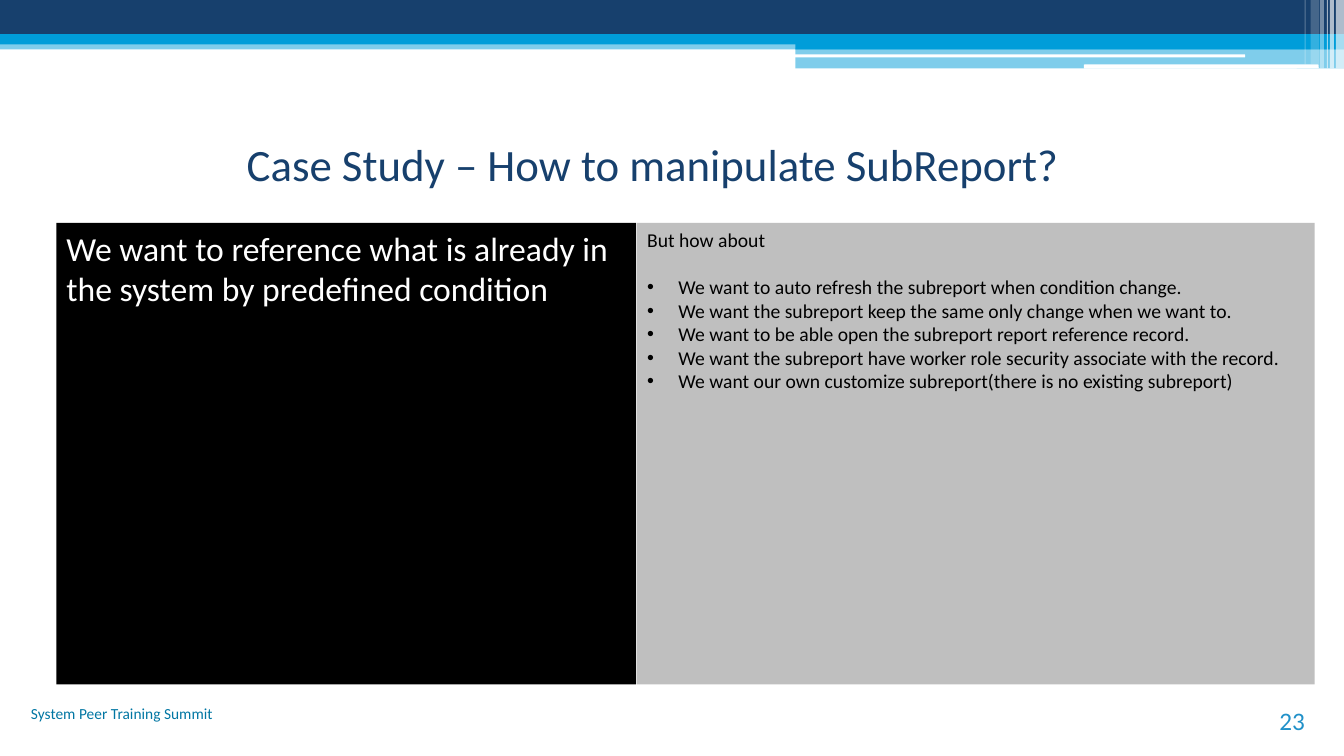
from lxml.etree import SubElement
from pptx import Presentation
from pptx.dml.color import RGBColor
from pptx.enum.shapes import MSO_SHAPE
from pptx.enum.text import MSO_ANCHOR, PP_ALIGN
from pptx.oxml.ns import qn
from pptx.util import Inches, Pt

COLORS = {
    "navy": "17406D",
    "blue": "009DD9",
    "white": "FFFFFF",
    "black": "000000",
    "gray": "BFBFBF",
    "footer": "0076A3",
    "number": "2191C9",
}


def add_block(slide, left, top, width, height, color, opacity=100, preset=MSO_SHAPE.RECTANGLE):
    shape = slide.shapes.add_shape(preset, Inches(left), Inches(top), Inches(width), Inches(height))
    shape.shadow.inherit = False
    shape.fill.solid()
    shape.fill.fore_color.rgb = RGBColor.from_string(COLORS[color])
    shape.line.fill.background()
    if opacity < 100:
        fill_color = shape._element.xpath("./p:spPr/a:solidFill/a:srgbClr")[0]
        SubElement(fill_color, qn("a:alpha"), val=str(opacity * 1000))
    return shape


def write_paragraph(paragraph, text, size, color, alignment=PP_ALIGN.LEFT):
    paragraph.text = text
    paragraph.alignment = alignment
    font_format = {"name": "Calibri", "size": Pt(size)}
    for attribute, value in font_format.items():
        setattr(paragraph.font, attribute, value)
    paragraph.font.color.rgb = RGBColor.from_string(COLORS[color])


presentation = Presentation()
presentation.slide_width = Inches(13.33)
presentation.slide_height = Inches(7.5)
slide = presentation.slides.add_slide(presentation.slide_layouts[5])

bands = [
    (0, 0.4, 13.33, 0.09, "blue", 50),
    (0, 0, 13.33, 0.34, "navy", 100),
    (0, 0.34, 13.33, 0.1, "blue", 100),
    (7.89, 0.39, 5.44, 0.1, "blue", 100),
    (7.89, 0.48, 5.44, 0.2, "blue", 50),
]
for band in bands:
    add_block(slide, *band)

for left, top, width, height in [(7.88, 0.54, 4.47, 0.03), (10.75, 0.64, 2.33, 0.04)]:
    add_block(slide, left, top, width, height, "white", preset=MSO_SHAPE.ROUNDED_RECTANGLE)

stripes = [
    (13.25, 0.08, 0.68, 65),
    (13.19, 0.04, 0.68, 65),
    (13.16, 0.01, 0.68, 60),
    (13.09, 0.04, 0.68, 40),
    (13, 0.08, 0.64, 20),
    (12.94, 0.01, 0.64, 30),
]
for left, width, height, opacity in stripes:
    add_block(slide, left, 0, width, height, "white", opacity)

title = slide.shapes.title
title_place = {"left": 0.56, "top": 1.04, "width": 11.83, "height": 1.17}
for attribute, value in title_place.items():
    setattr(title, attribute, Inches(value))
title.text_frame.vertical_anchor = MSO_ANCHOR.MIDDLE
write_paragraph(title.text_frame.paragraphs[0], "Case Study – How to manipulate SubReport?",
                32, "navy", PP_ALIGN.CENTER)

reference_panel = add_block(slide, 0.56, 2.21, 5.75, 4.58, "black")
question_panel = add_block(slide, 6.32, 2.21, 6.72, 4.58, "gray")
for panel in (reference_panel, question_panel):
    panel.text_frame.word_wrap = True
    panel.text_frame.vertical_anchor = MSO_ANCHOR.TOP

write_paragraph(reference_panel.text_frame.paragraphs[0],
                "We want to reference what is already in the system by predefined condition",
                24, "white")
write_paragraph(question_panel.text_frame.paragraphs[0], "But how about", 14, "black")

wishes = [
    "We want to auto refresh the subreport when condition change.",
    "We want the subreport keep the same only change when we want to.",
    "We want to be able open the subreport report reference record.",
    "We want the subreport have worker role security associate with the record.",
    "We want our own customize subreport(there is no existing subreport)",
]
for index, wish in enumerate(wishes):
    paragraph = question_panel.text_frame.add_paragraph()
    properties = paragraph._p.get_or_add_pPr()
    properties.set("marL", str(Inches(0.31)))
    properties.set("indent", str(-Inches(0.31)))
    SubElement(properties, qn("a:buFont"), typeface="Arial")
    SubElement(properties, qn("a:buChar"), char="•")
    write_paragraph(paragraph, wish, 14, "black")
    paragraph.space_before = Pt(17 if index == 0 else 0)

footers = [
    (0, 6.94, 2.21, 0.5, "System Peer Training Summit", 11, "footer", MSO_ANCHOR.TOP),
    (11.93, 6.95, 1.11, 0.4, "23", 18, "number", MSO_ANCHOR.BOTTOM),
]
for left, top, width, height, text, size, color, anchor in footers:
    box = slide.shapes.add_textbox(Inches(left), Inches(top), Inches(width), Inches(height))
    box.text_frame.word_wrap = True
    box.text_frame.vertical_anchor = anchor
    write_paragraph(box.text_frame.paragraphs[0], text, size, color, PP_ALIGN.RIGHT)

presentation.save("out.pptx")
